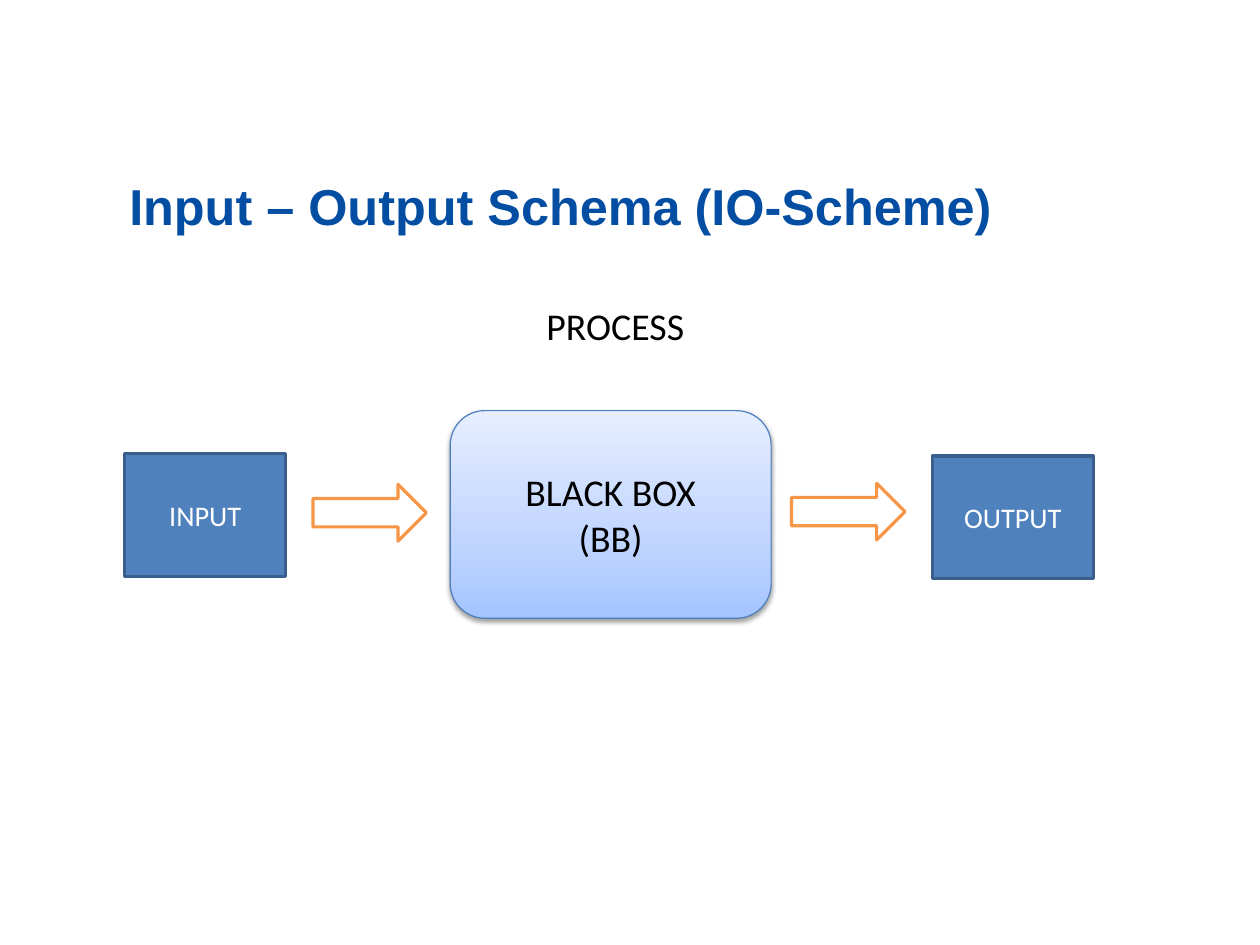
from copy import deepcopy

from lxml import etree
from pptx import Presentation
from pptx.dml.color import RGBColor
from pptx.enum.shapes import MSO_SHAPE
from pptx.enum.text import MSO_ANCHOR, PP_ALIGN
from pptx.oxml import parse_xml
from pptx.util import Emu, Pt

RECTANGLE = MSO_SHAPE.RECTANGLE
ROUNDED = MSO_SHAPE.ROUNDED_RECTANGLE
ARROW = MSO_SHAPE.RIGHT_ARROW
MIDDLE = MSO_ANCHOR.MIDDLE
TOP = MSO_ANCHOR.TOP
CENTER = PP_ALIGN.CENTER
LEFT = PP_ALIGN.LEFT

EMU_PER_PX = 9144
SLIDE_SIZE = (1111, 833)

TITLE = ("Input – Output Schema (IO-Scheme)", (114, 150, 950, 50))
TITLE_TOP_INSET = 4
PROCESS = ("PROCESS", (472, 262, 150, 81))
BLACK_BOX = ("BLACK BOX\n(BB)", (397, 362, 283, 183))
END_BOXES = [("INPUT", (110, 400)), ("OUTPUT", (822, 402))]
END_BOX_SIZE = (142, 108)
ARROWS = [(276, 427), (698, 426)]
ARROW_SIZE = (100, 50)
GRADIENT = [(0, "A4C4FF"), (0.35, "BFD4FF"), (1, "E6EEFF")]
SHADOW = (
    '<a:effectLst xmlns:a="http://schemas.openxmlformats.org/drawingml/2006/main">'
    '<a:outerShdw blurRad="39370" dist="20320" dir="5400000" rotWithShape="0">'
    '<a:srgbClr val="000000"><a:alpha val="38000"/></a:srgbClr>'
    "</a:outerShdw></a:effectLst>"
)


def px(length):
    return Emu(length * EMU_PER_PX)


def color(value):
    return RGBColor.from_string(value)


def write(shape, text, size, font_color, font_name="Calibri", bold=False,
          align=CENTER, anchor=MIDDLE):
    frame = shape.text_frame
    frame.word_wrap = True
    frame.vertical_anchor = anchor
    frame.text = text
    for paragraph in frame.paragraphs:
        paragraph.alignment = align
        for run in paragraph.runs:
            run.font.size = Pt(size)
            run.font.name = font_name
            run.font.bold = bold
            run.font.color.rgb = color(font_color)


def add_box(slide, kind, area, fill, line, width):
    shape = slide.shapes.add_shape(kind, *map(px, area))
    shape.shadow.inherit = False
    shape.fill.solid()
    shape.fill.fore_color.rgb = color(fill)
    shape.line.color.rgb = color(line)
    shape.line.width = Pt(width)
    return shape


def add_text(slide, text, area, *style, **options):
    box = slide.shapes.add_textbox(*map(px, area))
    write(box, text, *style, align=LEFT, anchor=TOP, **options)
    return box


def shade(shape):
    fill = shape.fill
    fill.gradient()
    fill.gradient_angle = 90
    properties = shape.element.spPr
    stop_list = properties.find(".//{*}gsLst")
    stop_list.append(deepcopy(stop_list[-1]))
    for stop, (position, value) in zip(fill.gradient_stops, GRADIENT):
        stop.position = position
        stop.color.rgb = color(value)
    effects = properties.find("{*}effectLst")
    properties.replace(effects, parse_xml(etree.tostring(etree.fromstring(SHADOW))))


def main():
    presentation = Presentation()
    presentation.slide_width, presentation.slide_height = map(px, SLIDE_SIZE)
    slide = presentation.slides.add_slide(presentation.slide_layouts[6])

    title = add_text(slide, *TITLE, 32, "034EA2", font_name="Arial", bold=True)
    frame = title.text_frame
    frame.margin_left = frame.margin_right = frame.margin_bottom = 0
    frame.margin_top = px(TITLE_TOP_INSET)

    for label, corner in END_BOXES:
        box = add_box(slide, RECTANGLE, corner + END_BOX_SIZE, "4F81BD", "3A5F8C", 2)
        write(box, label, 18, "FFFFFF")

    label, area = BLACK_BOX
    black_box = add_box(slide, ROUNDED, area, "BFD4FF", "4B7EBC", 0.75)
    shade(black_box)
    write(black_box, label, 24, "000000")

    add_text(slide, *PROCESS, 24, "000000")

    for corner in ARROWS:
        add_box(slide, ARROW, corner + ARROW_SIZE, "FFFFFF", "F79646", 2)

    presentation.save("out.pptx")


if __name__ == "__main__":
    main()
